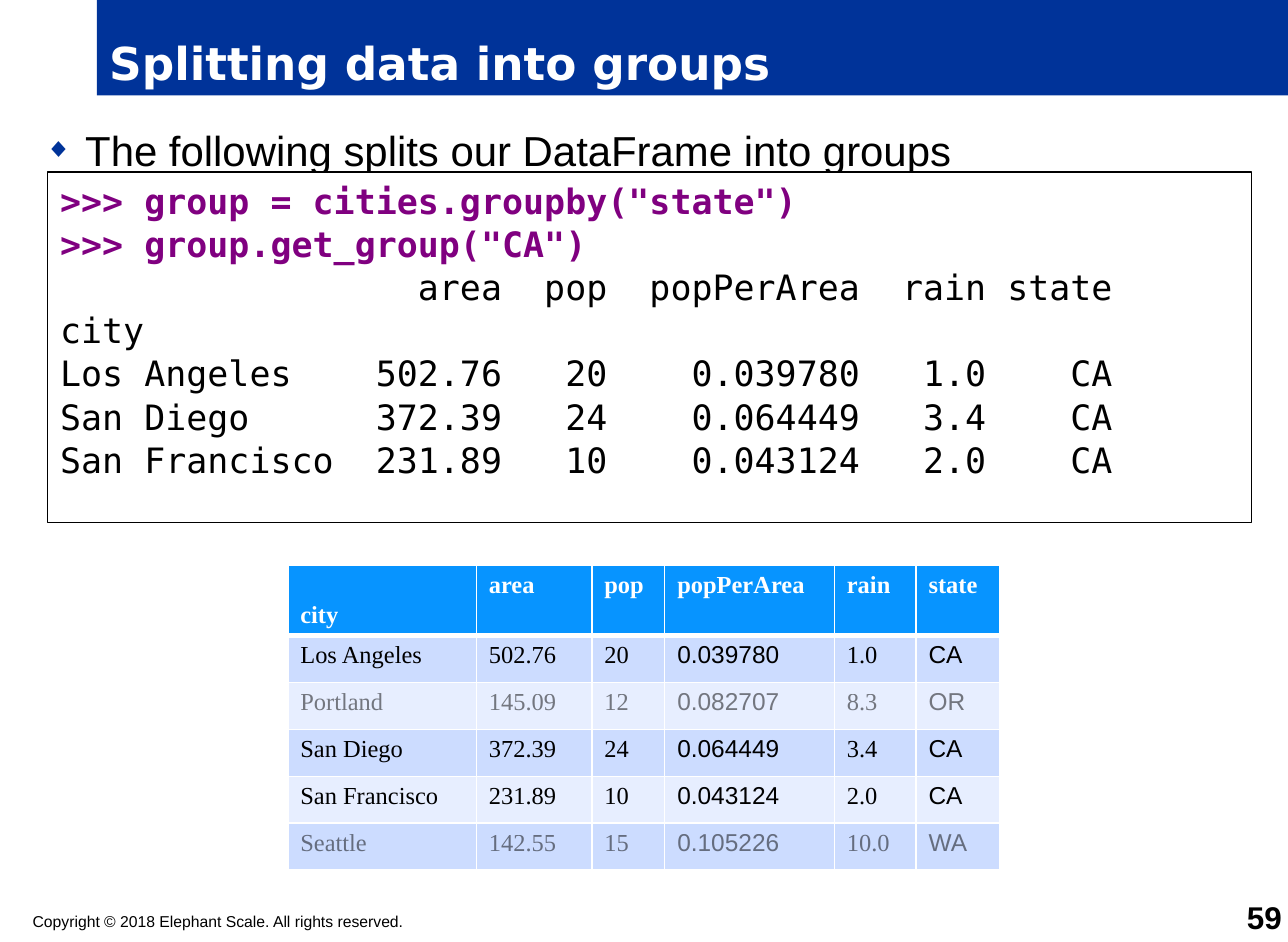
from pptx import Presentation, util as u
from pptx.dml.color import RGBColor
from pptx.enum import shapes, text
from pptx.oxml import parse_xml
from pptx.oxml.ns import nsdecls, qn

COLORS = {
    "navy": "003399", "white": "FFFFFF", "black": "000000", "purple": "800080",
    "header": "0794FF", "odd": "CCDCFF", "even": "E7EEFF",
}
SANS, SERIF = "Arial", "Times New Roman"
TITLE_FONT, CODE_FONT = "DejaVu Sans", "DejaVu Sans Mono"

FIELDS = ["city", "area", "pop", "popPerArea", "rain", "state"]
CITIES = [
    ["Los Angeles", "502.76", "20", "0.039780", "1.0", "CA"],
    ["Portland", "145.09", "12", "0.082707", "8.3", "OR"],
    ["San Diego", "372.39", "24", "0.064449", "3.4", "CA"],
    ["San Francisco", "231.89", "10", "0.043124", "2.0", "CA"],
    ["Seattle", "142.55", "15", "0.105226", "10.0", "WA"],
]
CONSOLE_WIDTHS = [8, 5, 12, 6, 6]
COMMANDS = ['>>> group = cities.groupby("state")', '>>> group.get_group("CA")']


def in_group(city):
    return city[-1] == "CA"


def console_row(label, values):
    """Right-align the values after a city label, as pandas prints them."""
    columns = (value.rjust(width) for value, width in zip(values, CONSOLE_WIDTHS))
    return label.ljust(13) + "".join(columns)


class SlideBuilder:
    """Draws on one slide, on a grid of 102.5 columns by 75 rows."""

    COLUMNS, ROWS = 102.5, 75

    def __init__(self, presentation):
        self.slide = presentation.slides.add_slide(presentation.slide_layouts[6])
        self.column = presentation.slide_width / self.COLUMNS
        self.row = presentation.slide_height / self.ROWS

    def place(self, left, top, width, height):
        return (round(left * self.column), round(top * self.row),
                round(width * self.column), round(height * self.row))

    def color(self, name):
        return RGBColor.from_string(COLORS[name])

    def run(self, paragraph, words, size, font=SANS, color="black", bold=False, alpha=None):
        run = paragraph.add_run()
        run.text = words
        run.font.size, run.font.name, run.font.bold = u.Pt(size), font, bold
        run.font.color.rgb = self.color(color)
        if alpha:
            fill = run._r.get_or_add_rPr().find(".//" + qn("a:srgbClr"))
            fill.append(parse_xml(f'<a:alpha {nsdecls("a")} val="{alpha * 1000}"/>'))

    def frame(self, shape, anchor=text.MSO_ANCHOR.TOP, margins=(0.1, 0.05, 0.1, 0.05)):
        frame = shape.text_frame
        frame.word_wrap, frame.vertical_anchor = True, anchor
        (frame.margin_left, frame.margin_top,
         frame.margin_right, frame.margin_bottom) = map(u.Inches, margins)
        frame.paragraphs[0].alignment = text.PP_ALIGN.LEFT
        return frame

    def panel(self, box, fill, line=None, **layout):
        shape = self.slide.shapes.add_shape(shapes.MSO_SHAPE.RECTANGLE, *self.place(*box))
        shape.shadow.inherit = False
        shape.fill.solid()
        shape.fill.fore_color.rgb = self.color(fill)
        if line:
            shape.line.color.rgb = self.color(line)
            shape.line.width = u.Pt(0.75)
        else:
            shape.line.fill.background()
        return self.frame(shape, **layout)

    def label(self, box, words, size, bold=False, align=text.PP_ALIGN.LEFT, **layout):
        shape = self.slide.shapes.add_textbox(*self.place(*box))
        paragraph = self.frame(shape, **layout).paragraphs[0]
        paragraph.alignment = align
        self.run(paragraph, words, size, bold=bold)
        return paragraph

    def bullet(self, box, words, size):
        paragraph = self.label(box, words, size, margins=(0.1, 0.09, 0.1, 0.05))
        properties = paragraph._p.get_or_add_pPr()
        indent = u.Inches(0.32)
        properties.set("marL", str(indent))
        properties.set("indent", str(-indent))
        for element in (f'buClr {nsdecls("a")}><a:srgbClr val="{COLORS["navy"]}"/></a:buClr',
                        f'buSzPct {nsdecls("a")} val="65000"/',
                        f'buFont {nsdecls("a")} typeface="{SANS}"/',
                        f'buChar {nsdecls("a")} char="◆"/'):
            properties.append(parse_xml(f"<a:{element}>"))

    def console(self, box, commands, output):
        frame = self.panel(box, "white", line="black")
        for index, line in enumerate(commands + output):
            paragraph = frame.add_paragraph() if index else frame.paragraphs[0]
            paragraph.alignment = text.PP_ALIGN.LEFT
            paragraph.line_spacing = 1.03
            typed = index < len(commands)
            self.run(paragraph, line, 20, CODE_FONT, "purple" if typed else "black", typed)

    def cell(self, cell, words, fill, bottom=1, **style):
        properties = cell._tc.get_or_add_tcPr()
        for side, points in zip("LRTB", (1, 1, 1, bottom)):
            properties.append(parse_xml(
                f'<a:ln{side} {nsdecls("a")} w="{u.Pt(points)}"><a:solidFill>'
                f'<a:srgbClr val="{COLORS["white"]}"/></a:solidFill></a:ln{side}>'))
        cell.fill.solid()
        cell.fill.fore_color.rgb = self.color(fill)
        self.run(cell.text_frame.paragraphs[0], words, 14, **style)

    def table(self, box, widths, heights, fields, records):
        table = self.slide.shapes.add_table(
            len(heights), len(widths), *self.place(*box)).table
        for column, width in zip(table.columns, widths):
            column.width = round(width * self.column)
        for row, height in zip(table.rows, heights):
            row.height = round(height * self.row)
        for index, field in enumerate(fields):
            self.cell(table.cell(0, index), field, "header", bottom=3,
                      font=SERIF, color="white", bold=True)
        table.cell(0, 0).vertical_anchor = text.MSO_ANCHOR.BOTTOM
        for number, record in enumerate(records, 1):
            for index, value in enumerate(record):
                self.cell(table.cell(number, index), value, "odd" if number % 2 else "even",
                          font=SANS if fields[index] in ("popPerArea", "state") else SERIF,
                          alpha=None if in_group(record) else 50)


def main():
    presentation = Presentation()
    presentation.slide_width, presentation.slide_height = u.Inches(10.25), u.Inches(7.5)
    builder = SlideBuilder(presentation)

    title = builder.panel((7.7, 0, 94.8, 7.6), "navy", anchor=text.MSO_ANCHOR.BOTTOM)
    builder.run(title.paragraphs[0], "Splitting data into groups", 26, TITLE_FONT, "white", True)
    builder.bullet((2.6, 9, 97.4, 61.7), "The following splits our DataFrame into groups", 24)
    builder.label((2.6, 72.6, 59.5, 1.5), "Copyright © 2018 Elephant Scale. All rights reserved.",
                  9, margins=(0, 0, 0, 0))
    builder.label((96, 72, 6, 2.5), "59", 18, bold=True, align=text.PP_ALIGN.RIGHT,
                  anchor=text.MSO_ANCHOR.BOTTOM, margins=(0, 0, 0, 0))

    output = [console_row("", FIELDS[1:]), FIELDS[0]]
    output += [console_row(city[0], city[1:]) for city in CITIES if in_group(city)]
    builder.console((3.8, 13.7, 95.8, 27.9), COMMANDS, output)
    builder.table((22.9, 45, 56.7, 24.4), [15, 9.2, 5.8, 13.5, 6.5, 6.7],
                  [5.6] + [3.74] * len(CITIES), FIELDS, CITIES)
    presentation.save("out.pptx")


if __name__ == "__main__":
    main()
